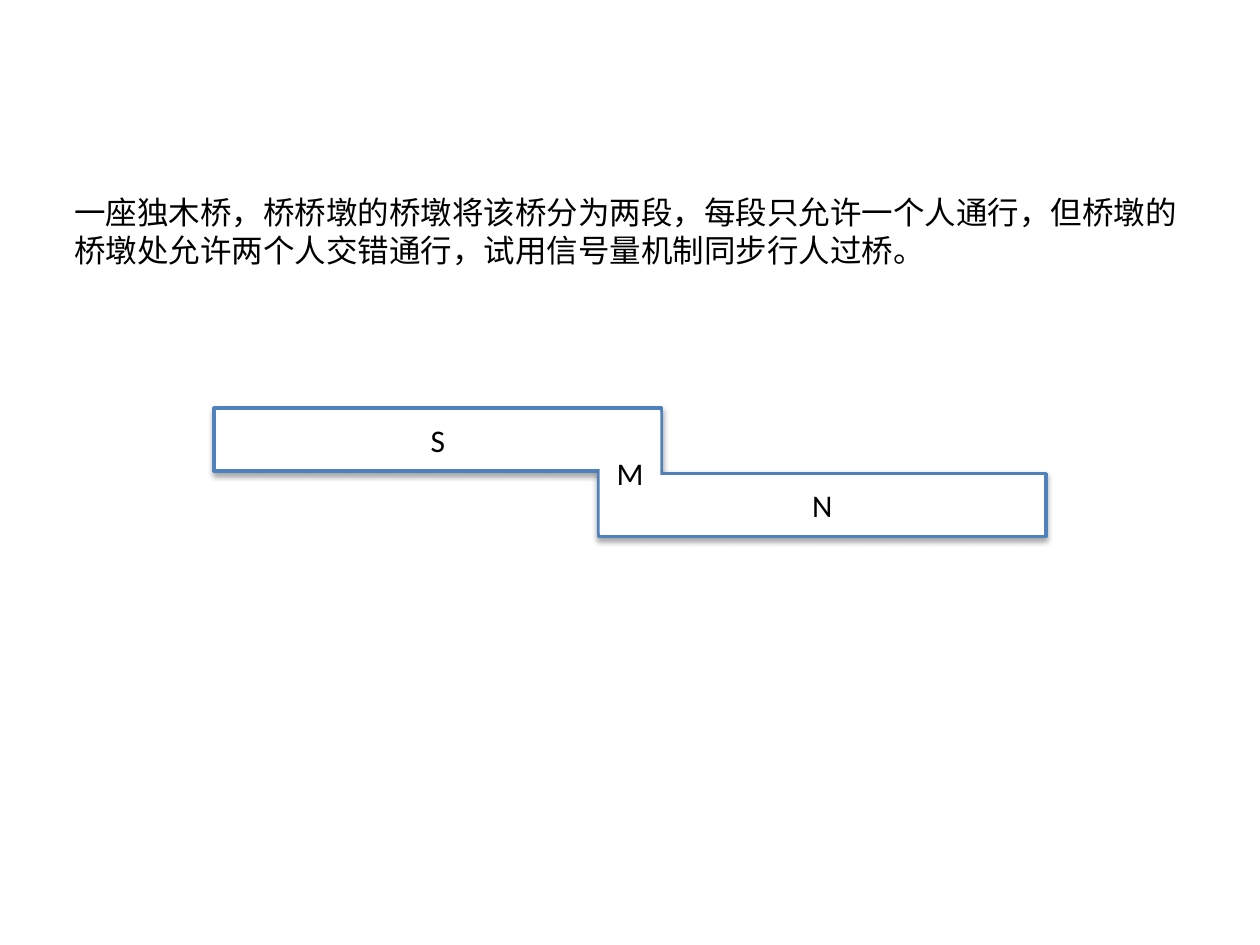
import lxml.etree
import pptx
import pptx.dml.color
import pptx.enum.shapes
import pptx.enum.text
import pptx.oxml.ns
import pptx.util

Pt = pptx.util.Pt
ALIGN = pptx.enum.text.PP_ALIGN
ANCHOR = pptx.enum.text.MSO_ANCHOR
COLORS = {"text": "000000", "fill": "FFFFFF", "line": "4F81BD", "shadow": "000000"}
FONT = "Calibri"
TASK = ("一座独木桥，桥桥墩的桥墩将该桥分为两段，每段只允许一个人通行，"
        "但桥墩的桥墩处允许两个人交错通行，试用信号量机制同步行人过桥。")

LEFT, TOP = 122.4, 233.3
SPAN_W, SPAN_H = 255.6, 36
STEP_X, STEP_Y = 219.6, 37.4
PIER_W, PIER_H = 34.6, 69.8
SPANS = ["S", "N"]
PIER = "M"


def color(name):
    return pptx.dml.color.RGBColor.from_string(COLORS[name])


def write(shape, text, size=18, align=ALIGN.LEFT, anchor=ANCHOR.TOP):
    frame = shape.text_frame
    frame.word_wrap = True
    frame.vertical_anchor = anchor
    frame.margin_left = frame.margin_right = Pt(3.6)
    frame.margin_top = frame.margin_bottom = Pt(3.6)
    par = frame.paragraphs[0]
    par.alignment = align
    run = par.add_run()
    run.text = text
    run.font.size = Pt(size)
    run.font.name = FONT
    run.font.color.rgb = color("text")


def shade(shape):
    """Give the shape a soft shadow straight below it."""
    qn = pptx.oxml.ns.qn
    effects = shape._element.spPr.find(qn("a:effectLst"))
    outer = lxml.etree.SubElement(
        effects, qn("a:outerShdw"), blurRad=str(Pt(3)), dist=str(Pt(1.8)),
        dir="5400000", rotWithShape="0")
    tint = lxml.etree.SubElement(outer, qn("a:srgbClr"), val=COLORS["shadow"])
    lxml.etree.SubElement(tint, qn("a:alpha"), val="35000")


def block(group, text, left, top, width, height, edged=True):
    """Add a white box with a centred label, edged and shadowed if asked."""
    box = group.shapes.add_shape(
        pptx.enum.shapes.MSO_SHAPE.RECTANGLE,
        Pt(left), Pt(top), Pt(width), Pt(height))
    box.shadow.inherit = False
    box.fill.solid()
    box.fill.fore_color.rgb = color("fill")
    if edged:
        box.line.color.rgb = color("line")
        box.line.width = Pt(2)
        shade(box)
    else:
        box.line.fill.background()
    write(box, text, align=ALIGN.CENTER, anchor=ANCHOR.MIDDLE)


def main():
    deck = pptx.Presentation()
    deck.slide_width, deck.slide_height = Pt(720), Pt(540)
    slide = deck.slides.add_slide(deck.slide_layouts[6])

    bridge = slide.shapes.add_group_shape()
    for i, name in enumerate(SPANS):
        block(bridge, name, LEFT + i * STEP_X, TOP + i * STEP_Y, SPAN_W, SPAN_H)
    # The pier is centred on the overlap and hides the edges inside it.
    mid_x = LEFT + (STEP_X + SPAN_W) / 2
    mid_y = TOP + (STEP_Y + SPAN_H) / 2
    block(bridge, PIER, mid_x - PIER_W / 2, mid_y - PIER_H / 2,
          PIER_W, PIER_H, edged=False)

    task = slide.shapes.add_textbox(Pt(38.9), Pt(106.6), Pt(643), Pt(56.9))
    write(task, TASK)
    task.text_frame.auto_size = pptx.enum.text.MSO_AUTO_SIZE.SHAPE_TO_FIT_TEXT
    deck.save("out.pptx")


if __name__ == "__main__":
    main()
